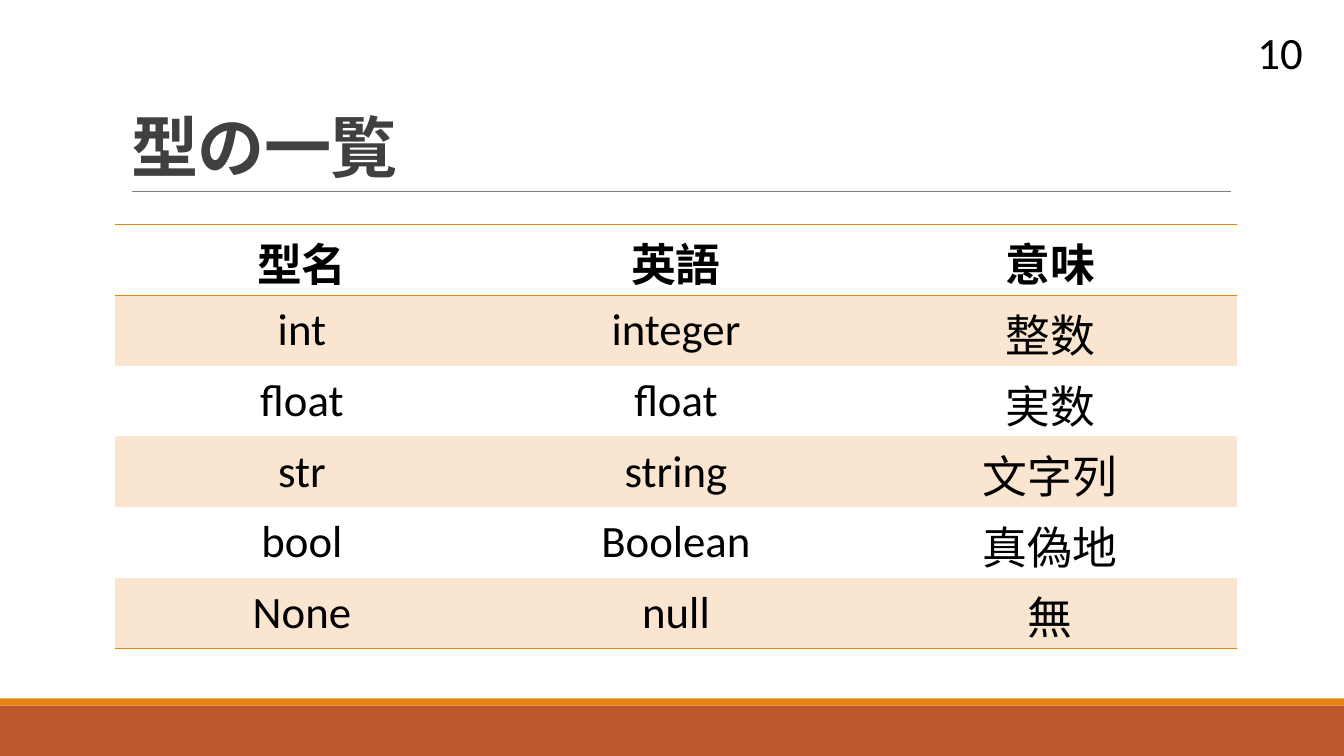
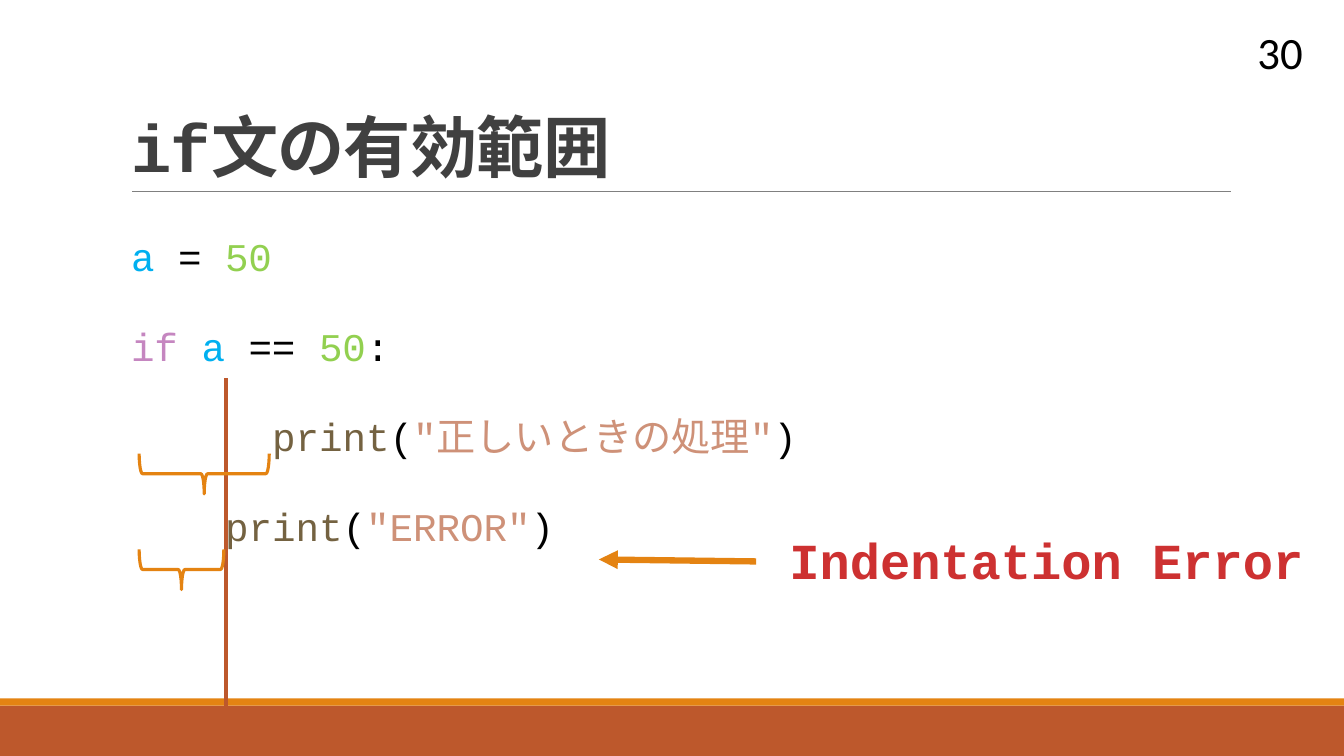
from collections import namedtuple

from lxml import etree
from pptx import Presentation
from pptx import util as u
from pptx.dml.color import RGBColor
from pptx.enum import shapes, text
from pptx.oxml import ns

Box = namedtuple("Box", "left top width height")

COLORS = {
    "rust": "BD582C", "orange": "E48312", "pale": "FAE6D0",
    "gray": "808080", "title": "404040", "black": "000000",
    "variable": "00B0F0", "number": "92D050", "keyword": "C586C0",
    "function": "746241", "string": "CE9178", "error": "CD3131",
}
SANS, MONO = "Calibri", "Courier New"
TITLE_STYLE = {"name": MONO, "size": u.Pt(48), "bold": True}
PLAIN_STYLE = {"name": SANS, "size": u.Pt(32), "bold": False}
HEADER_STYLE = {**PLAIN_STYLE, "bold": True}
CODE_STYLE = {"name": MONO, "size": u.Pt(28), "bold": False}
LABEL_STYLE = {"name": MONO, "size": u.Pt(36), "bold": True}
CODE_LINE = {"line_spacing": 1.5, "space_before": u.Pt(12), "space_after": u.Pt(2)}

WIDTH, HEIGHT = 13.33, 7.5
TITLE_BOX = Box(1.2, 0.31, 11, 1.59)
NUMBER_BOX = Box(11.59, 0.31, 1.43, 0.4)
TABLE_BOX = Box(1.14, 2.23, 11.13, 4.2)
CODE_BOX = Box(1.2, 2.02, 11, 4.4)
CODE_MARGIN = 0.1
CHAR_WIDTH = 28 * 0.6 / 72
NO_STYLE_TABLE = "{2D5ABB26-0587-4C30-8999-92F81FD0307C}"

TYPES = [
    ["型名", "英語", "意味"],
    ["int", "integer", "整数"],
    ["float", "float", "実数"],
    ["str", "string", "文字列"],
    ["bool", "Boolean", "真偽地"],
    ["None", "null", "無"],
]
# Each line: indent in characters, then coloured pieces.
CODE = [
    (0, [("a ", "variable"), ("= ", "black"), ("50", "number")]),
    (0, [("if ", "keyword"), ("a ", "variable"), ("== ", "black"),
         ("50", "number"), (":", "black")]),
    (6, [("print", "function"), ("(", "black"),
         ('"正しいときの処理"', "string"), (")", "black")]),
    (4, [("print", "function"), ("(", "black"),
         ('"ERROR"', "string"), (")", "black")]),
]


def rgb(color):
    return RGBColor.from_string(COLORS[color])


def inches(*lengths):
    return [u.Inches(length) for length in lengths]


def apply(target, values):
    for name, value in values.items():
        setattr(target, name, value)


def add_span(para, words, style, color="black"):
    span = para.add_run()
    span.text = words
    apply(span.font, style)
    span.font.color.rgb = rgb(color)
    return span


def add_text_box(page, box, **frame_values):
    frame = page.shapes.add_textbox(*inches(*box)).text_frame
    apply(frame, {"word_wrap": True, **frame_values})
    return frame


def add_line(page, start, end, color, points, arrow=False):
    line = page.shapes.add_connector(
        shapes.MSO_CONNECTOR.STRAIGHT, *inches(*start, *end))
    line.line.color.rgb = rgb(color)
    line.line.width = u.Pt(points)
    properties = line._element.spPr
    if arrow:
        outline = properties.find(ns.qn("a:ln"))
        etree.SubElement(outline, ns.qn("a:tailEnd"), type="triangle")
    etree.SubElement(properties, ns.qn("a:effectLst"))


def add_band(page, top, height, color):
    band = page.shapes.add_shape(
        shapes.MSO_SHAPE.RECTANGLE, *inches(0, top, WIDTH, height))
    band.shadow.inherit = False
    band.fill.solid()
    band.fill.fore_color.rgb = rgb(color)
    band.line.fill.background()


def add_brace(page, left, top, span, depth=0.4):
    """Draw a brace of the given span that opens upwards."""
    box = Box(left + (span - depth) / 2, top + (depth - span) / 2, depth, span)
    brace = page.shapes.add_shape(shapes.MSO_SHAPE.RIGHT_BRACE, *inches(*box))
    brace.rotation = 90
    brace.shadow.inherit = False
    brace.fill.background()
    brace.line.color.rgb = rgb("orange")
    brace.line.width = u.Pt(2.25)


def format_title(title, box, words):
    apply(title, dict(zip(Box._fields, inches(*box))))
    frame = title.text_frame
    apply(frame, {"vertical_anchor": text.MSO_ANCHOR.BOTTOM,
                  "auto_size": text.MSO_AUTO_SIZE.NONE, "word_wrap": True})
    para = frame.paragraphs[0]
    apply(para, {"alignment": text.PP_ALIGN.LEFT, "line_spacing": 0.85})
    span = add_span(para, words, TITLE_STYLE, "title")
    span.font._element.set("spc", "-50")


def add_page_number(page, box, number):
    frame = add_text_box(page, box, vertical_anchor=text.MSO_ANCHOR.MIDDLE)
    para = frame.paragraphs[0]
    para.alignment = text.PP_ALIGN.RIGHT
    add_span(para, str(number), PLAIN_STYLE)


def add_page(deck, title, number):
    """Add a slide with the shared bands, title, rule and page number."""
    page = deck.slides.add_slide(deck.slide_layouts.get_by_name("Title Only"))
    add_band(page, 7, 0.5, "rust")
    add_band(page, 6.93, 0.07, "orange")
    add_line(page, (1.31, 1.9), (12.21, 1.9), "gray", 0.5)
    format_title(page.shapes.title, TITLE_BOX, title)
    add_page_number(page, NUMBER_BOX, number)
    return page


def add_cell_border(cell, side):
    properties = cell._tc.get_or_add_tcPr()
    border = etree.SubElement(properties, ns.qn(f"a:ln{side}"), w=str(u.Pt(1)))
    fill = etree.SubElement(border, ns.qn("a:solidFill"))
    etree.SubElement(fill, ns.qn("a:srgbClr"), val=COLORS["orange"])


def add_type_table(page, box, rows):
    table = page.shapes.add_table(len(rows), len(rows[0]), *inches(*box)).table
    apply(table, {"first_row": False, "horz_banding": False})
    table._tbl.tblPr.find(ns.qn("a:tableStyleId")).text = NO_STYLE_TABLE
    for row, words_in_row in enumerate(rows):
        sides = {0: "TB", len(rows) - 1: "B"}.get(row, "")
        for column, words in enumerate(words_in_row):
            cell = table.cell(row, column)
            cell.vertical_anchor = text.MSO_ANCHOR.MIDDLE
            for side in sides:
                add_cell_border(cell, side)
            if row % 2:
                cell.fill.solid()
                cell.fill.fore_color.rgb = rgb("pale")
            else:
                cell.fill.background()
            para = cell.text_frame.paragraphs[0]
            para.alignment = text.PP_ALIGN.CENTER
            add_span(para, words, PLAIN_STYLE if row else HEADER_STYLE)


def add_code(page, box, lines):
    frame = add_text_box(page, box, margin_left=0, margin_right=0)
    for index, (indent, pieces) in enumerate(lines):
        para = frame.add_paragraph() if index else frame.paragraphs[0]
        apply(para, CODE_LINE)
        margin = u.Inches(CODE_MARGIN + indent * CHAR_WIDTH)
        para._p.get_or_add_pPr().set("marL", str(margin))
        for words, color in pieces:
            add_span(para, words, CODE_STYLE, color)


def add_indent_marks(page, box):
    """Mark the two indents of the code in the box and name the error."""
    left, top = box.left, box.top
    arrow_start, arrow_end = (left + 6.3, top + 3.55), (left + 4.74, top + 3.53)
    add_line(page, arrow_start, arrow_end, "orange", 4.5, arrow=True)
    label = add_text_box(page, Box(left + 6.53, top + 3.18, 5.6, 0.71))
    add_span(label.paragraphs[0], "Indentation Error", LABEL_STYLE, "error")
    guide = left + 1.04
    add_line(page, (guide, top + 1.73), (guide, top + 5.18), "rust", 3)
    add_brace(page, left + 0.18, top + 2.48, 1.29)
    add_brace(page, left + 0.18, top + 3.43, 0.84)


def main():
    deck = Presentation()
    deck.slide_width, deck.slide_height = inches(WIDTH, HEIGHT)

    type_page = add_page(deck, "型の一覧", 10)
    add_type_table(type_page, TABLE_BOX, TYPES)

    scope_page = add_page(deck, "if文の有効範囲", 30)
    add_code(scope_page, CODE_BOX, CODE)
    add_indent_marks(scope_page, CODE_BOX)

    deck.save("out.pptx")


if __name__ == "__main__":
    main()
